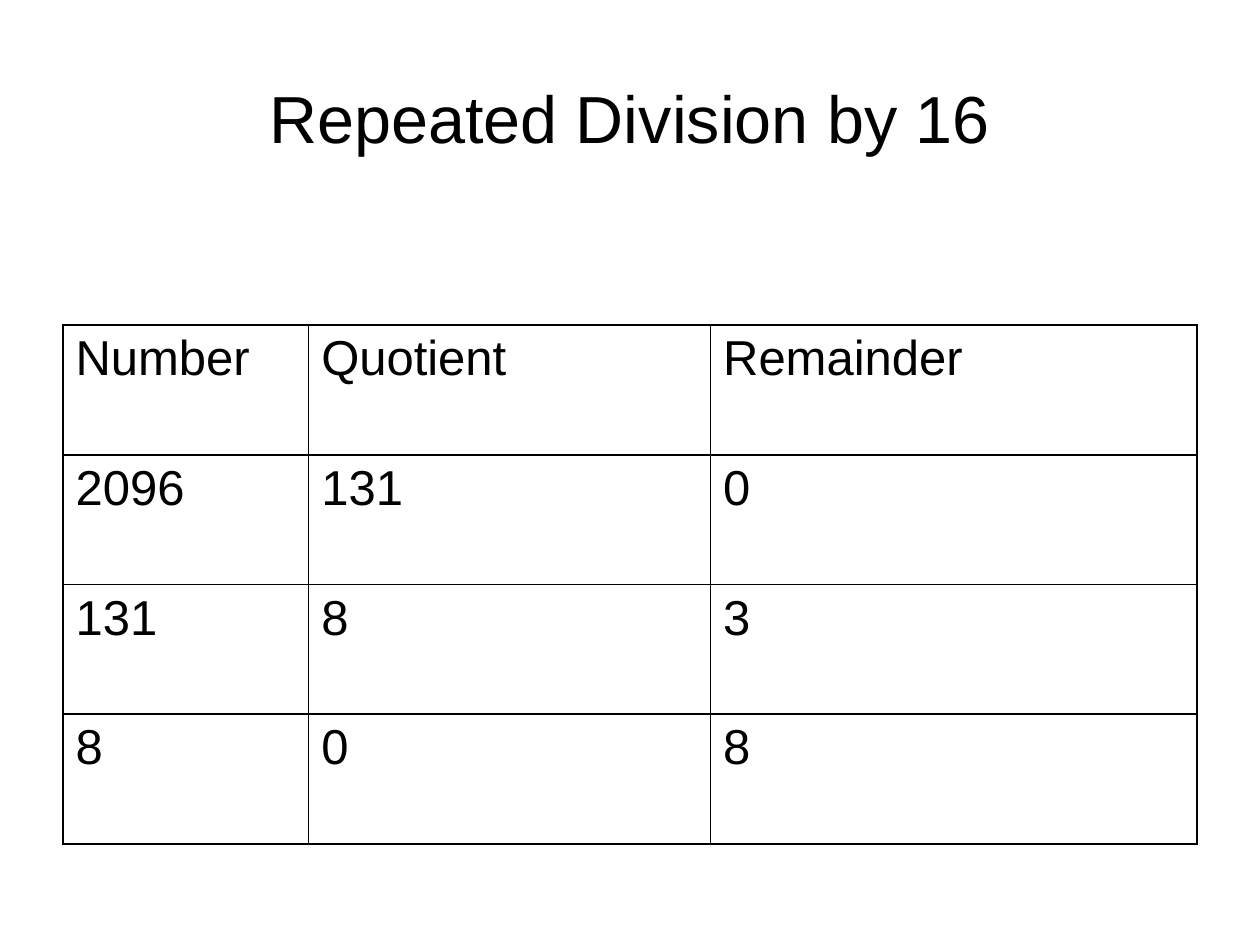
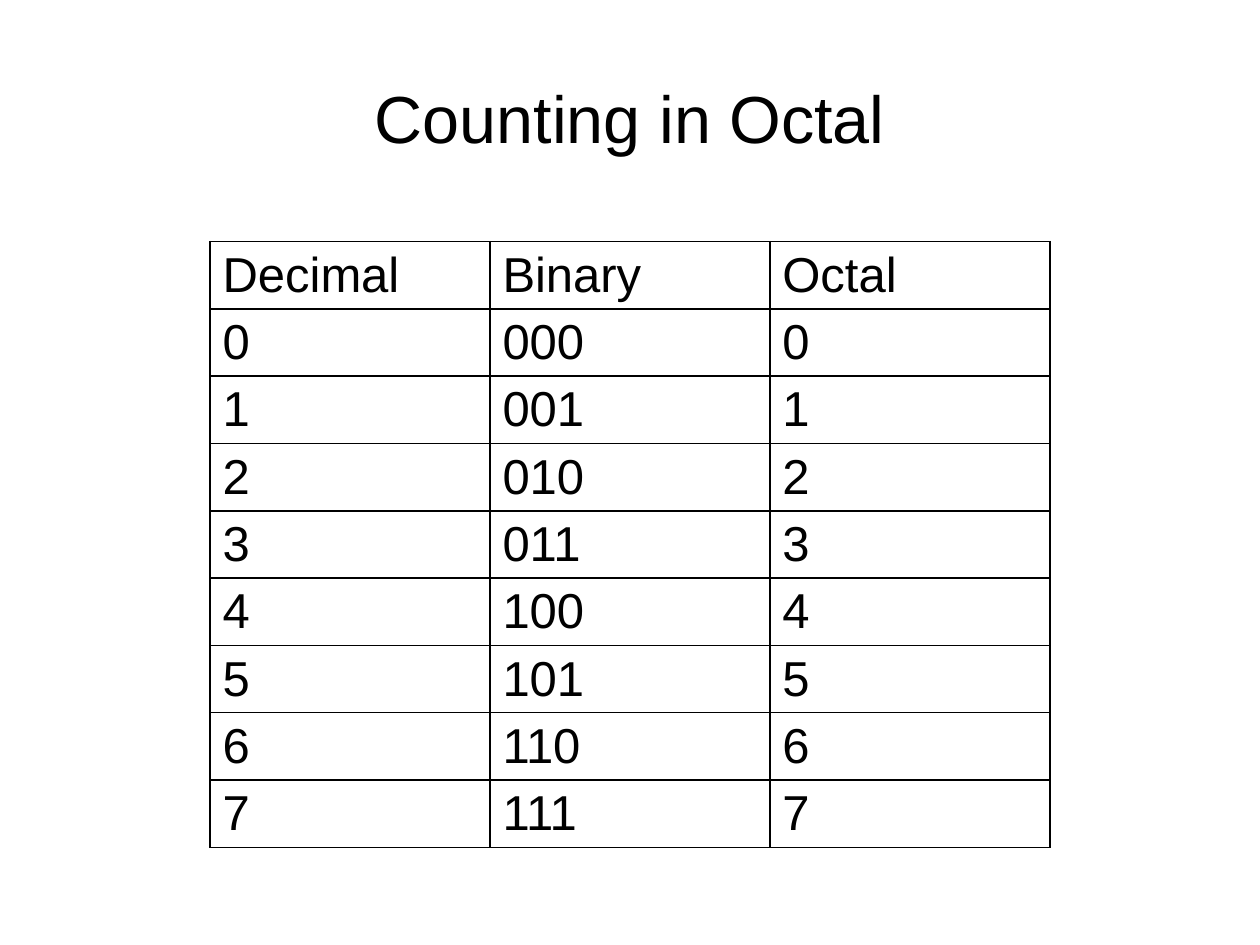
from lxml.etree import SubElement
from pptx import Presentation
from pptx.dml.color import RGBColor
from pptx.enum.text import MSO_ANCHOR as Anchor, MSO_AUTO_SIZE as AutoSize, PP_ALIGN as Align
from pptx.oxml.ns import qn
from pptx.util import Inches, Pt

BLACK = RGBColor(0x00, 0x00, 0x00)
WHITE = RGBColor(0xFF, 0xFF, 0xFF)
FONT = "Arial"
TITLE_ONLY = 5
GRID_COLUMNS, GRID_ROWS = 60, 25


def write(frame, text, *, size, align, color=BLACK, hanging=0):
    """Fill a text frame with one formatted paragraph."""
    para = frame.paragraphs[0]
    para.alignment = align
    if hanging:
        properties = para._p.get_or_add_pPr()
        properties.set("marL", str(hanging))
        properties.set("indent", str(-hanging))
    span = para.add_run()
    span.text = text
    span.font.name = FONT
    span.font.size = Pt(size)
    span.font.bold = False
    span.font.color.rgb = color


def outline(cell, color=BLACK, width=1):
    """Draw a solid line on all four sides of a table cell."""
    properties = cell._tc.get_or_add_tcPr()
    for side in ("lnL", "lnR", "lnT", "lnB"):
        line = SubElement(properties, qn(f"a:{side}"), w=str(Pt(width)))
        fill = SubElement(line, qn("a:solidFill"))
        SubElement(fill, qn("a:srgbClr"), val=str(color))


class LessonDeck:
    """Holds the shared style, the grid and the current slide."""

    def __init__(self):
        self.deck = Presentation()
        self.deck.slide_width, self.deck.slide_height = Inches(10), Inches(7.5)
        self.column = self.deck.slide_width / GRID_COLUMNS
        self.row = self.deck.slide_height / GRID_ROWS
        self.page = None

    def area(self, left, top, width, height):
        """Turn grid columns and rows into lengths."""
        return (round(left * self.column), round(top * self.row),
                round(width * self.column), round(height * self.row))

    def add_page(self, title):
        self.page = self.deck.slides.add_slide(self.deck.slide_layouts[TITLE_ONLY])
        background = self.page.background.fill
        background.solid()
        background.fore_color.rgb = WHITE
        box = self.page.shapes.title
        box.left, box.top, box.width, box.height = self.area(3, 1, 54, 4.17)
        frame = box.text_frame
        frame.word_wrap = True
        frame.auto_size = AutoSize.NONE
        frame.vertical_anchor = Anchor.MIDDLE
        write(frame, title, size=38, align=Align.CENTER)

    def add_table(self, records, *, left, top, height, widths):
        """Place a ruled table; widths are grid columns, one per table column."""
        place = self.area(left, top, sum(widths), height)
        table = self.page.shapes.add_table(len(records), len(widths), *place).table
        table.first_row = table.horz_banding = False
        for column, width in zip(table.columns, widths):
            column.width = round(width * self.column)
        for row, record in zip(table.rows, records):
            row.height = round(height * self.row / len(records))
            for cell, text in zip(row.cells, record):
                self.fill_cell(cell, text)

    def fill_cell(self, cell, text):
        outline(cell)
        cell.fill.solid()
        cell.fill.fore_color.rgb = WHITE
        cell.margin_top, cell.margin_bottom = Inches(0.05), Inches(0.03)
        write(cell.text_frame, text, size=28, align=Align.JUSTIFY, hanging=Inches(0.38))


def division_records(number, base):
    """List number, quotient and remainder until the quotient is zero."""
    records = []
    while number:
        quotient, remainder = divmod(number, base)
        records.append((str(number), str(quotient), str(remainder)))
        number = quotient
    return records


def main():
    lesson = LessonDeck()

    lesson.add_page("Repeated Division by 16")
    division = [("Number", "Quotient", "Remainder"), *division_records(2096, 16)]
    lesson.add_table(division, left=3, top=8.6, height=13.73, widths=(11.7, 19.14, 23.16))

    lesson.add_page("Counting in Octal")
    counting = [("Decimal", "Binary", "Octal")]
    counting += [(f"{n}", f"{n:03b}", f"{n:o}") for n in range(8)]
    lesson.add_table(counting, left=10, top=6.39, height=16.03, widths=(13.33,) * 3)

    lesson.deck.save("out.pptx")


if __name__ == "__main__":
    main()
